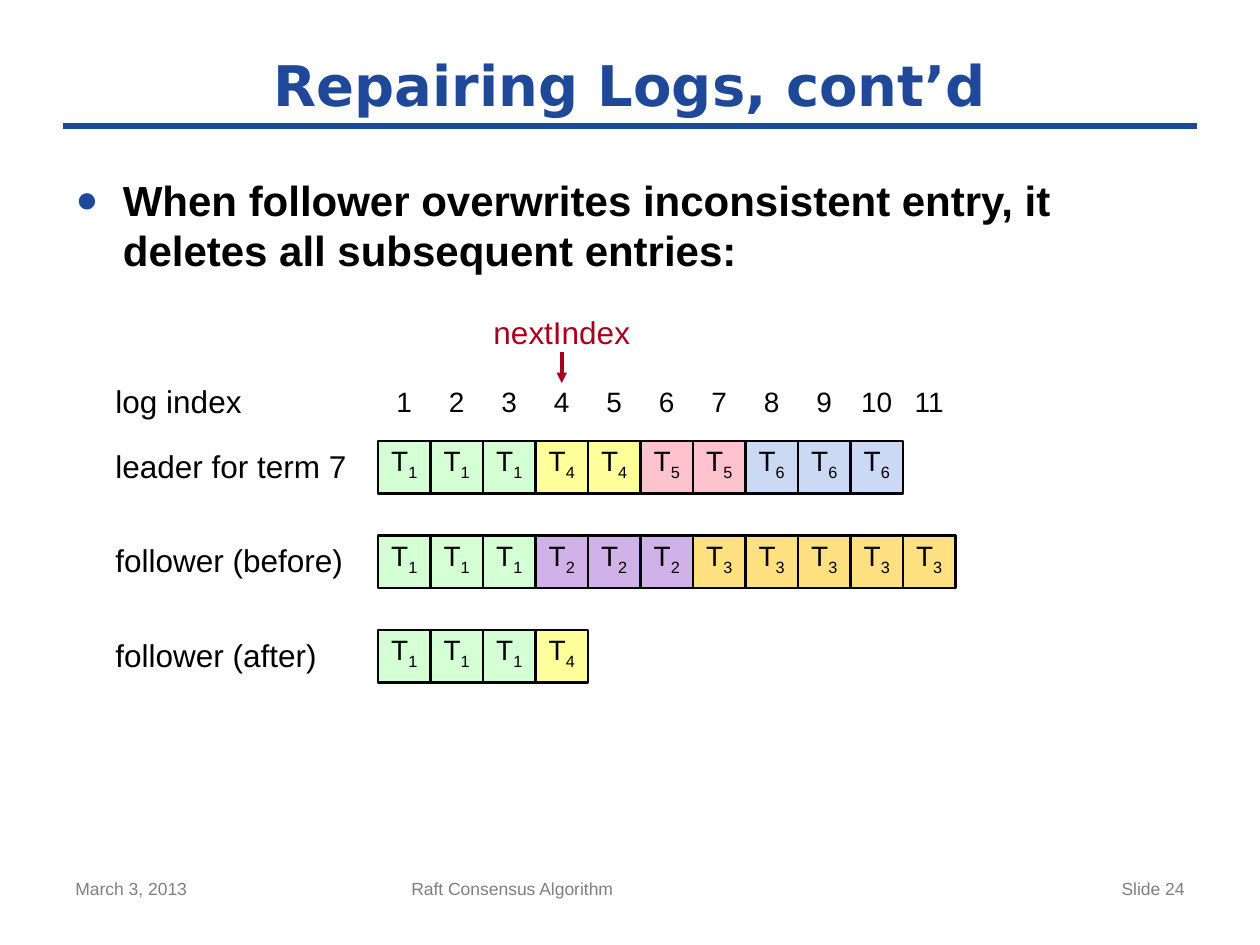
from lxml.etree import SubElement
from pptx import Presentation
from pptx.dml.color import RGBColor
from pptx.enum.shapes import MSO_CONNECTOR, MSO_SHAPE
from pptx.enum.text import MSO_ANCHOR, MSO_AUTO_SIZE, PP_ALIGN
from pptx.oxml.ns import qn
from pptx.util import Pt

COLORS = {
    "blue": "1F4899", "black": "000000", "gray": "7F7F7F", "red": "A5001E",
    "1": "D5FFD5", "2": "D1B2E8", "3": "FFE181",
    "4": "FFFF9B", "5": "FFC3CE", "6": "CCD9F4",
}
LEFT, CELL = 216, 30  # first log column and cell size

deck = Presentation()
deck.slide_width, deck.slide_height = Pt(720), Pt(540)
slide = deck.slides.add_slide(deck.slide_layouts[1])
shapes = slide.shapes


def write(shape, text, size, color="black", align=PP_ALIGN.LEFT,
          font="Arial", bold=False, inset=None, space=None):
    frame = shape.text_frame
    frame.text = text
    frame.word_wrap = True
    frame.auto_size = MSO_AUTO_SIZE.NONE
    if inset is not None:
        frame.margin_left = frame.margin_right = Pt(inset)
        frame.margin_top = frame.margin_bottom = Pt(inset)
    para = frame.paragraphs[0]
    para.alignment = align
    para.space_before = Pt(0)
    if space:
        para.line_spacing = Pt(space)
    for run in para.runs:
        run.font.name, run.font.size, run.font.bold = font, Pt(size), bold
        run.font.color.rgb = RGBColor.from_string(COLORS[color])
    return para


def draw(x1, y1, x2, y2, color, width):
    line = shapes.add_connector(MSO_CONNECTOR.STRAIGHT,
                                Pt(x1), Pt(y1), Pt(x2), Pt(y2))
    line.line.color.rgb = RGBColor.from_string(COLORS[color])
    line.line.width = Pt(width)
    SubElement(line._element.spPr, qn("a:effectLst"))
    return line


# Title and rule
draw(36, 72, 684, 72, "blue", 4)
title = shapes.title
title.left, title.top, title.width, title.height = Pt(36), Pt(24), Pt(648), Pt(48)
write(title, "Repairing Logs, cont’d", 32, "blue", PP_ALIGN.CENTER,
      "DejaVu Sans", True)
title.text_frame.vertical_anchor = MSO_ANCHOR.MIDDLE

# Bullet
body = slide.placeholders[1]
body.left, body.top, body.width, body.height = Pt(36), Pt(96), Pt(648), Pt(386.6)
para = write(body, "When follower overwrites inconsistent entry, it "
             "deletes all subsequent entries:", 24, bold=True)
props = para._p.get_or_add_pPr()
props.set("marL", str(Pt(27)))
props.set("indent", str(Pt(-27)))
tint = SubElement(props, qn("a:buClr"))
SubElement(tint, qn("a:srgbClr"), val=COLORS["blue"])
SubElement(props, qn("a:buSzPct"), val="90000")
SubElement(props, qn("a:buFont"), typeface="Arial")
SubElement(props, qn("a:buChar"), char="●")

# Footer
for text, x, width, align in [
    ("March 3, 2013", 36, 168, PP_ALIGN.LEFT),
    ("Raft Consensus Algorithm", 228, 270, PP_ALIGN.LEFT),
    ("Slide 24", 516, 168, PP_ALIGN.RIGHT),
]:
    box = shapes.add_textbox(Pt(x), Pt(498), Pt(width), Pt(31))
    write(box, text, 10, "gray", align)

# Log index numbers, with wider boxes for two digits
box = shapes.add_textbox(Pt(66), Pt(218.5), Pt(90), Pt(21.5))
write(box, "log index", 18, inset=0)
for i in range(11):
    width = CELL if i < 9 else 42
    x = LEFT + (i + 0.5) * CELL - width / 2
    box = shapes.add_textbox(Pt(x), Pt(216), Pt(width), Pt(26.6))
    write(box, str(i + 1), 16, align=PP_ALIGN.CENTER)

# Logs: one digit per entry gives its term
logs = [
    ("leader for term 7", "1114455666"),
    ("follower (before)", "11122233333"),
    ("follower (after)", "1114"),
]
for row, (name, terms) in enumerate(logs):
    y = 252 + 54 * row
    box = shapes.add_textbox(Pt(66), Pt(y + 6), Pt(144), Pt(19))
    write(box, name, 18, inset=0, space=19)
    for col, term in enumerate(terms):
        cell = shapes.add_shape(MSO_SHAPE.RECTANGLE, Pt(LEFT + col * CELL),
                                Pt(y), Pt(CELL), Pt(CELL))
        cell.shadow.inherit = False
        cell.fill.solid()
        cell.fill.fore_color.rgb = RGBColor.from_string(COLORS[term])
        cell.line.color.rgb = RGBColor.from_string(COLORS["black"])
        cell.line.width = Pt(1.5)
        cell.text_frame.vertical_anchor = MSO_ANCHOR.MIDDLE
        para = write(cell, "T", 16, align=PP_ALIGN.CENTER, inset=0, space=17)
        sub = para.add_run()
        sub.text = term
        sub.font.name, sub.font.size = "Arial", Pt(16)
        sub.font.color.rgb = RGBColor.from_string(COLORS["black"])
        sub._r.get_or_add_rPr().set("baseline", "-25000")

# Pointer to index 4
mid = LEFT + 3.5 * CELL
arrow = draw(mid, 201, mid, 219, "red", 2)
SubElement(arrow.line._get_or_add_ln(), qn("a:tailEnd"), type="triangle")
box = shapes.add_textbox(Pt(mid - 42), Pt(181.5), Pt(84), Pt(19))
write(box, "nextIndex", 18, "red", PP_ALIGN.CENTER, inset=0, space=19)

deck.save("out.pptx")
